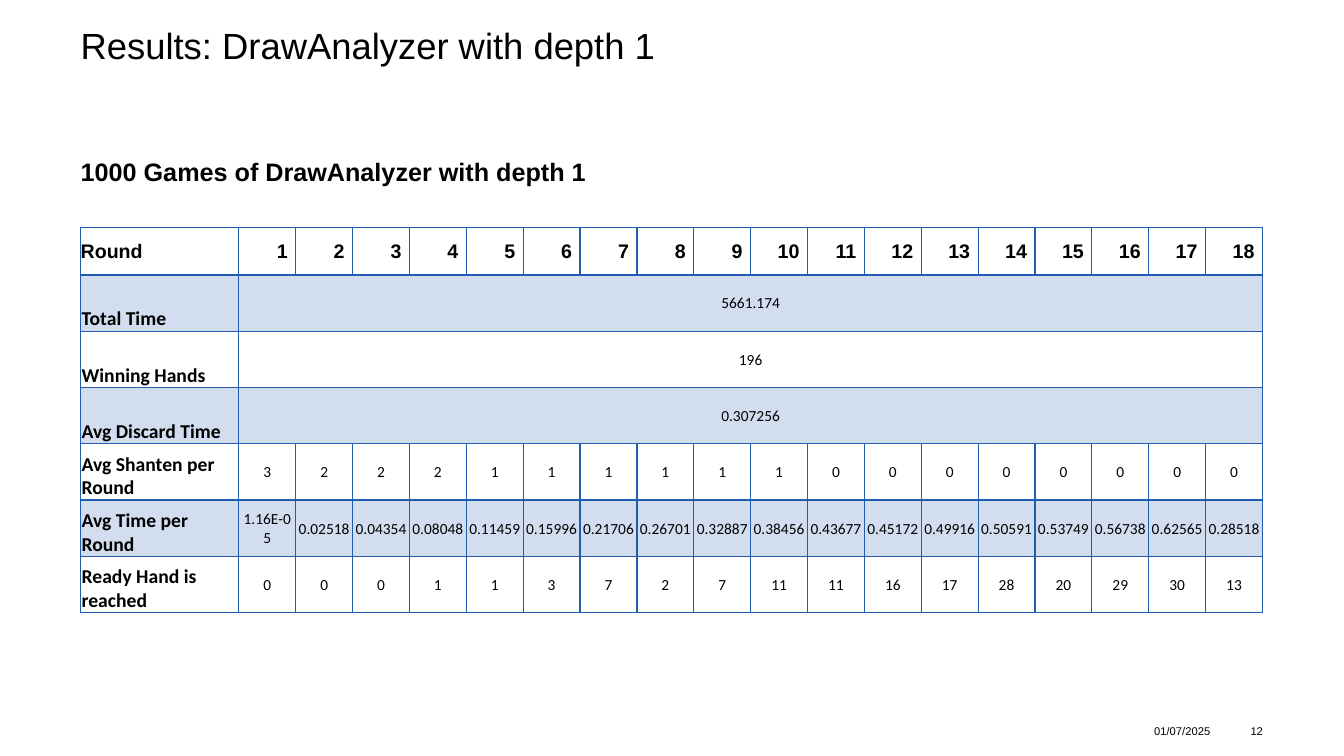
from lxml import etree
from pptx import Presentation
from pptx import util as u
from pptx.dml.color import RGBColor
from pptx.enum import text as t
from pptx.oxml.ns import qn

HEX = {"ink": "000000", "blue": "215CAF", "white": "FFFFFF"}
LEFT, WIDE = 57.6, 844.56
HEAD, ROW, LABEL = 33.6, 40.23, 113.04
ROUNDS = 18
ROWS = [
    ("Total Time", ["5661.174"]),
    ("Winning Hands", ["196"]),
    ("Avg Discard Time", ["0.307256"]),
    ("Avg Shanten per Round", "3 2 2 2 1 1 1 1 1 1 0 0 0 0 0 0 0 0".split()),
    ("Avg Time per Round", (
        "1.16E-05 0.02518 0.04354 0.08048 0.11459 0.15996 0.21706 0.26701 0.32887 "
        "0.38456 0.43677 0.45172 0.49916 0.50591 0.53749 0.56738 0.62565 0.28518").split()),
    ("Ready Hand is reached", "0 0 0 1 1 3 7 2 7 11 11 16 17 28 20 29 30 13".split()),
]


def write(frame, words, size=11, bold=False, font="Arial", align="LEFT", lead=1.0):
    para = frame.paragraphs[0]
    para.text = words
    para.alignment = t.PP_ALIGN[align]
    para.space_before = u.Pt(0)
    para.line_spacing = lead
    face = para.font
    face.name, face.size, face.bold = font, u.Pt(size), bold
    face.color.rgb = RGBColor.from_string(HEX["ink"])
    return para


def pad(item, left=0, top=0, right=0, low=0):
    item.margin_left, item.margin_top = u.Pt(left), u.Pt(top)
    item.margin_right, item.margin_bottom = u.Pt(right), u.Pt(low)


class Deck:
    """Holds the style and the current slide."""

    def __init__(self):
        self.show = Presentation()
        self.show.slide_width, self.show.slide_height = u.Pt(960), u.Pt(540)
        self.page = self.show.slides.add_slide(self.show.slide_layouts[1])

    def place(self, box, rect, words, anchor="TOP", **style):
        box.left, box.top, box.width, box.height = map(u.Pt, rect)
        frame = box.text_frame
        frame.word_wrap = True
        frame.auto_size = t.MSO_AUTO_SIZE.NONE
        frame.vertical_anchor = t.MSO_ANCHOR[anchor]
        pad(frame)
        return write(frame, words, **style)

    def title(self, words, rect):
        self.place(self.page.shapes.title, rect, words, size=26, lead=0.9)

    def body(self, words, rect):
        para = self.place(self.page.placeholders[1], rect, words, size=18, bold=True)
        props = para._p.get_or_add_pPr()
        props.set("marL", "0")
        props.set("indent", "0")
        mark = etree.Element(qn("a:buNone"))
        props.insert_element_before(mark, "a:tabLst", "a:defRPr", "a:extLst")

    def note(self, words, rect, align="LEFT"):
        box = self.page.shapes.add_textbox(0, 0, 0, 0)
        self.place(box, rect, words, "MIDDLE", size=8, align=align)

    def paint(self, cell, tint):
        cell.fill.solid()
        cell.fill.fore_color.rgb = RGBColor.from_string(HEX["blue" if tint else "white"])
        if tint:
            tone = cell._tc.tcPr.find(".//" + qn("a:srgbClr"))
            etree.SubElement(tone, qn("a:alpha"), val="20000")

    def edge(self, cell, row):
        heavy = {"T": row == 1, "B": row == 0}
        for spot, side in enumerate("LRTB"):
            width = u.Pt(2 if heavy.get(side) else 1)
            line = etree.Element(qn("a:ln" + side), w=str(width))
            fill = etree.SubElement(line, qn("a:solidFill"))
            etree.SubElement(fill, qn("a:srgbClr"), val=HEX["blue"])
            cell._tc.tcPr.insert(spot, line)

    def cell(self, cell, words, row, col):
        if row == 0:
            pad(cell, right=5.76)
            style = dict(size=14, bold=True, align="RIGHT" if col else "LEFT")
        else:
            pad(cell, 0.72, 0.72, 0.72)
            style = dict(font="Calibri", align="CENTER")
            if col == 0:
                style = dict(font="Calibri", size=14, bold=True)
        low = row and not col
        cell.vertical_anchor = t.MSO_ANCHOR.BOTTOM if low else t.MSO_ANCHOR.MIDDLE
        write(cell.text_frame, words, **style)
        self.paint(cell, row % 2)
        self.edge(cell, row)

    def table(self, rows, top):
        rows = [("Round", [str(n + 1) for n in range(ROUNDS)])] + rows
        tall = HEAD + ROW * (len(rows) - 1)
        grid = self.page.shapes.add_table(
            len(rows), ROUNDS + 1, u.Pt(LEFT), u.Pt(top), u.Pt(WIDE), u.Pt(tall)).table
        grid.first_row = grid.horz_banding = False
        for col, part in enumerate(grid.columns):
            part.width = u.Pt((WIDE - LABEL) / ROUNDS if col else LABEL)
        for row, (label, data) in enumerate(rows):
            grid.rows[row].height = u.Pt(ROW if row else HEAD)
            words = [label, *data] + [""] * (ROUNDS - len(data))
            for col, word in enumerate(words):
                self.cell(grid.cell(row, col), word, row, col)
            if len(data) == 1:
                grid.cell(row, 1).merge(grid.cell(row, ROUNDS))


def main():
    deck = Deck()
    deck.title("Results: DrawAnalyzer with depth 1", (LEFT, 20.16, WIDE, 70.56))
    deck.body("1000 Games of DrawAnalyzer with depth 1", (LEFT, 111.6, WIDE, 30.96))
    deck.table(ROWS, 162.72)
    deck.note("01/07/2025", (824.4, 513.36, 48.24, 17.28))
    deck.note("12", (876.96, 513.36, 25.2, 17.28), "RIGHT")
    deck.show.save("out.pptx")


if __name__ == "__main__":
    main()
